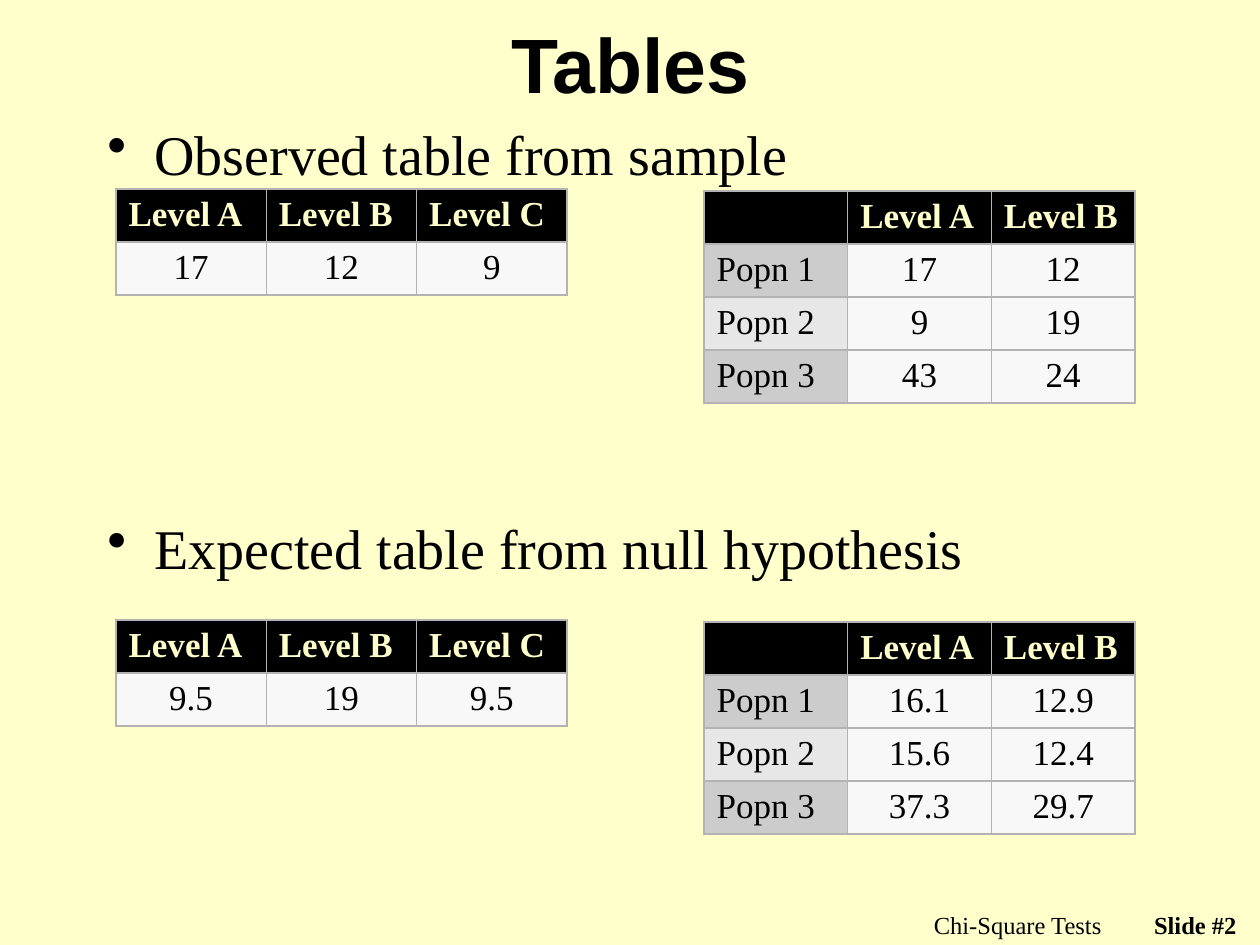
from lxml.etree import SubElement
from pptx import Presentation
from pptx.dml.color import RGBColor
from pptx.enum.text import MSO_ANCHOR as Anchor, PP_ALIGN as Align
from pptx.oxml import parse_xml
from pptx.oxml.ns import nsdecls, qn
from pptx.util import Emu, Pt

SERIF = "Times New Roman"
BLACK, CREAM, GRID = "000000", "FFFFCC", "B3B3B3"
VALUE_FILL = "F8F8F8"
LABEL_FILLS = ("CCCCCC", "E7E7E7")
ROW_HEIGHT = 52

BULLETS = ["Observed table from sample", "Expected table from null hypothesis"]
BULLET_GAP = 187
LABELS = [
    ("Tables", (95, 10, 1071, 105), Align.CENTER, Anchor.MIDDLE,
     {"name": "Arial", "size": 44, "bold": True}),
    ("Chi-Square Tests", (714, 904, 400, 32), Align.RIGHT, Anchor.TOP,
     {"size": 14}),
    ("Slide #2", (1113, 904, 136, 22), Align.RIGHT, Anchor.TOP,
     {"size": 14, "bold": True}),
]
LEVELS = ["Level A", "Level B", "Level C"]
POPULATION_HEADER = ["", "Level A", "Level B"]
TABLES = [
    ((704, 191, 431), [POPULATION_HEADER, ["Popn 1", "17", "12"],
                       ["Popn 2", "9", "19"], ["Popn 3", "43", "24"]]),
    ((704, 622, 431), [POPULATION_HEADER, ["Popn 1", "16.1", "12.9"],
                       ["Popn 2", "15.6", "12.4"], ["Popn 3", "37.3", "29.7"]]),
    ((116, 189, 451), [LEVELS, ["17", "12", "9"]]),
    ((116, 620, 451), [LEVELS, ["9.5", "19", "9.5"]]),
]


def px(length):
    return Emu(round(length * 914400 / 126))


def color(value):
    return RGBColor.from_string(value)


def write(para, text, ink=BLACK, **formats):
    span = para.add_run()
    span.text = text
    span.font.color.rgb = color(ink)
    values = {"name": SERIF, "bold": False, **formats}
    values["size"] = Pt(values["size"])
    for key, value in values.items():
        setattr(span.font, key, value)


def add_box(page, place, anchor=Anchor.TOP):
    frame = page.shapes.add_textbox(*map(px, place)).text_frame
    frame.word_wrap = True
    frame.vertical_anchor = anchor
    return frame


def add_bullets(page):
    frame = add_box(page, (95, 105, 1071, 483))
    frame.margin_top = px(14)
    for index, text in enumerate(BULLETS):
        para = frame.add_paragraph() if index else frame.paragraphs[0]
        if index:
            para.space_before = Pt(BULLET_GAP)
        properties = para._p.get_or_add_pPr()
        properties.set("marL", str(px(47)))
        properties.set("indent", str(px(-47)))
        SubElement(properties, qn("a:buChar"), char="•")
        write(para, text, size=32)


def add_borders(cell):
    properties = cell._tc.get_or_add_tcPr()
    for index, side in enumerate("LRTB"):
        properties.insert(index, parse_xml(
            f'<a:ln{side} {nsdecls("a")} w="{Pt(1)}"><a:solidFill>'
            f'<a:srgbClr val="{GRID}"/></a:solidFill></a:ln{side}>'))


def add_grid(page, place, rows):
    left, top, width = place
    columns = len(rows[0])
    table = page.shapes.add_table(
        len(rows), columns, px(left), px(top), px(width),
        px(ROW_HEIGHT * len(rows))).table
    table.horz_banding = False
    for column in table.columns:
        column.width = px(width / columns)
    for r, row in enumerate(rows):
        table.rows[r].height = px(ROW_HEIGHT)
        for c, text in enumerate(row):
            cell = table.cell(r, c)
            header = r == 0
            label = not header and c == 0 and rows[0][0] == ""
            fill = (BLACK if header else
                    LABEL_FILLS[(r - 1) % 2] if label else VALUE_FILL)
            cell.fill.solid()
            cell.fill.fore_color.rgb = color(fill)
            cell.margin_top, cell.margin_bottom = px(6), px(5)
            add_borders(cell)
            para = cell.text_frame.paragraphs[0]
            para.alignment = Align.LEFT if header or label else Align.CENTER
            if text:
                write(para, text, CREAM if header else BLACK,
                      size=20, bold=header)


def main():
    deck = Presentation()
    deck.slide_width, deck.slide_height = px(1260), px(945)
    page = deck.slides.add_slide(deck.slide_layouts[6])
    page.background.fill.solid()
    page.background.fill.fore_color.rgb = color(CREAM)
    for text, place, align, anchor, formats in LABELS:
        para = add_box(page, place, anchor).paragraphs[0]
        para.alignment = align
        write(para, text, **formats)
    add_bullets(page)
    for place, rows in TABLES:
        add_grid(page, place, rows)
    deck.save("out.pptx")


if __name__ == "__main__":
    main()
